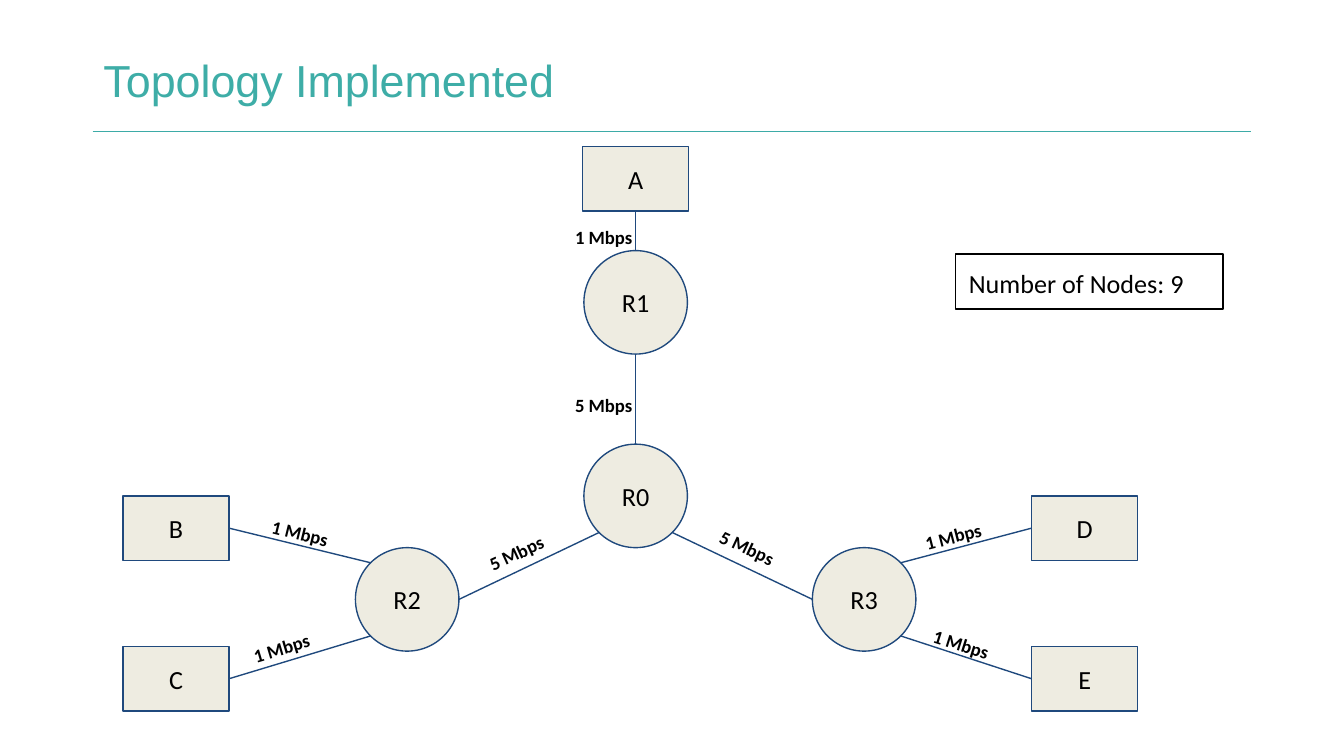
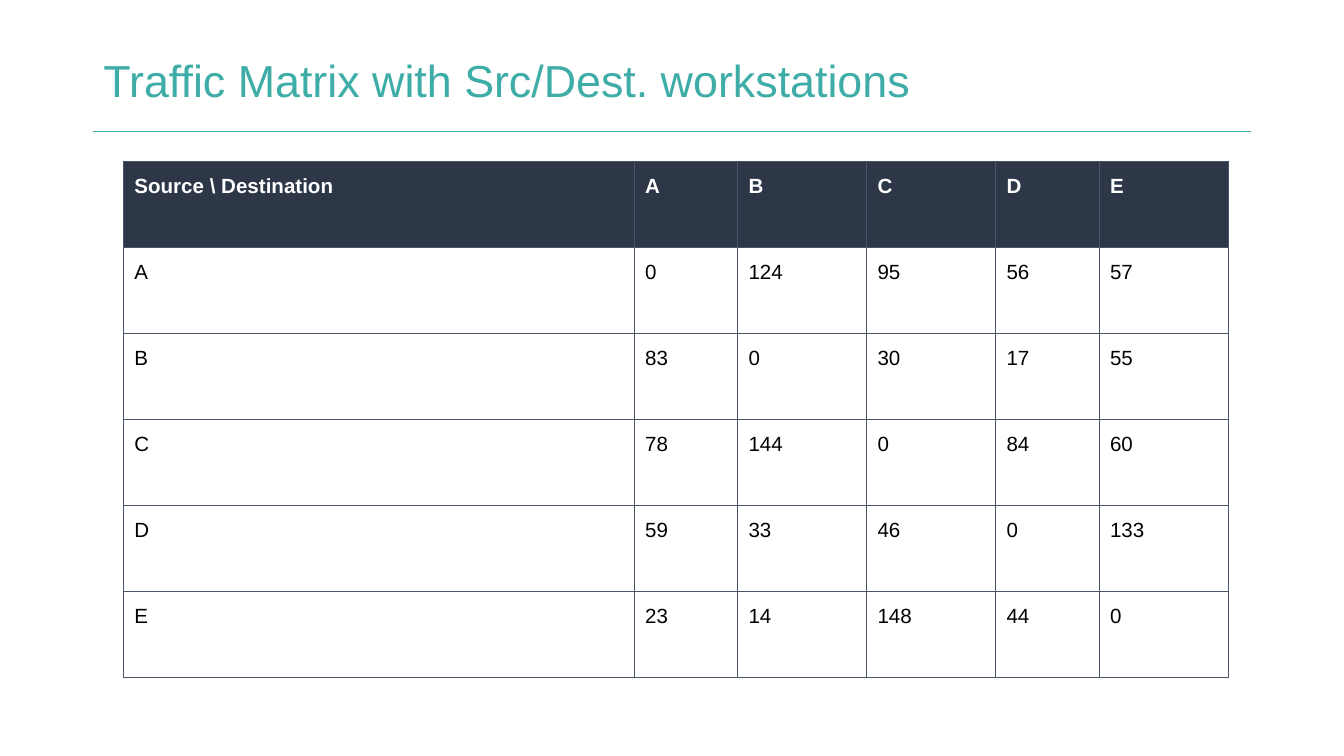
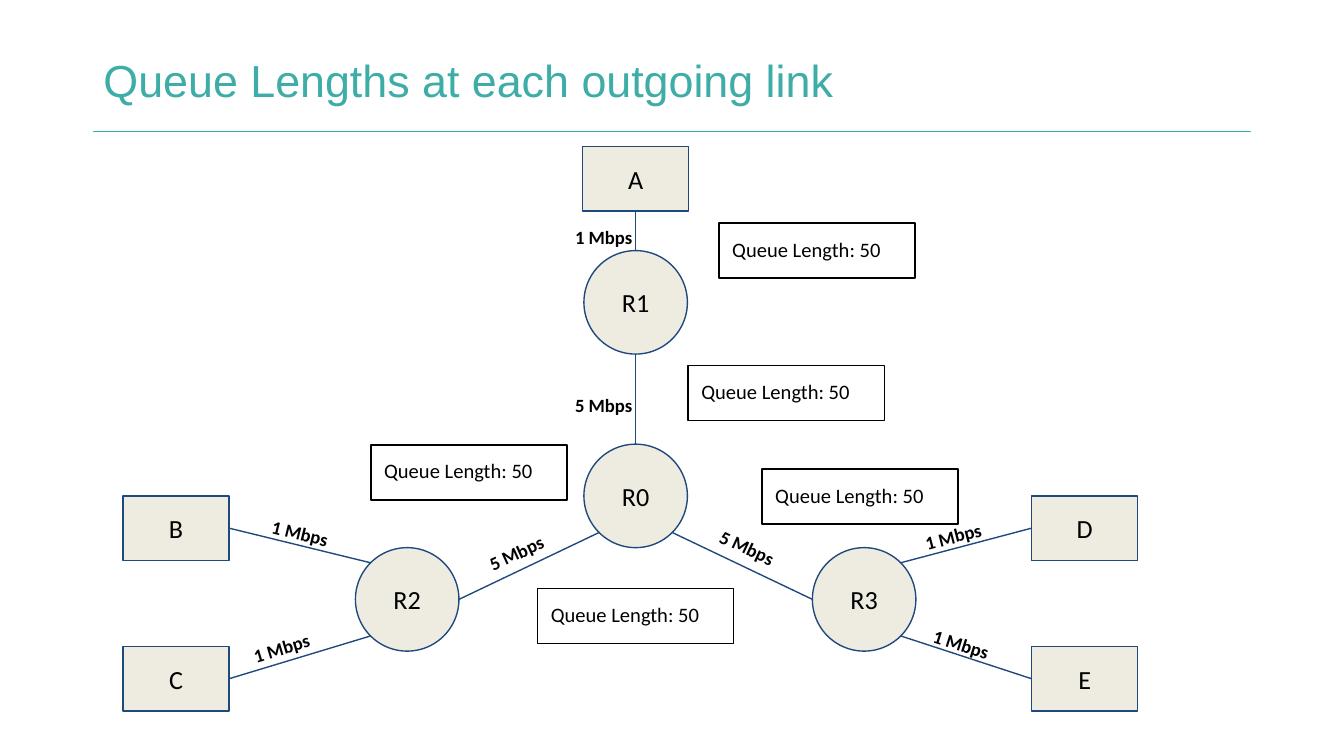
from lxml import etree
from pptx import Presentation
from pptx.dml.color import RGBColor
from pptx.enum.shapes import MSO_CONNECTOR, MSO_SHAPE
from pptx.enum.text import MSO_ANCHOR, PP_ALIGN
from pptx.oxml.ns import qn
from pptx.util import Inches, Pt

RECT, OVAL = MSO_SHAPE.RECTANGLE, MSO_SHAPE.OVAL
STRAIGHT = MSO_CONNECTOR.STRAIGHT
TOP, MIDDLE = MSO_ANCHOR.TOP, MSO_ANCHOR.MIDDLE
LEFT, CENTER = PP_ALIGN.LEFT, PP_ALIGN.CENTER

# Shared look
TEAL, RULE = "3EADA7", "3DABA7"
SAND, NAVY = "EEECE1", "1F497D"
DARK, SLATE = "2D3748", "4A5568"
BLACK, WHITE = "000000", "FFFFFF"
HEAD, BODY = "Arial", "Calibri"
THIN = 0.75

# Network: centres of workstations and routers
BOX_W, BOX_H, DIAM = 0.79, 0.48, 0.77
MID, ARM = 4.73, 1.7
BOXES = {"A": (MID, 1.33), "B": (1.31, 3.93), "C": (1.31, 5.05),
         "D": (8.07, 3.93), "E": (8.07, 5.05)}
HUBS = {"R0": (MID, 3.69), "R1": (MID, 2.25),
        "R2": (MID - ARM, 4.46), "R3": (MID + ARM, 4.46)}

# Directions from the centre of a circle to its rim
DIAG = 0.5 ** 0.5
RIM = {"N": (0, -1), "S": (0, 1), "W": (-1, 0), "E": (1, 0),
       "NW": (-DIAG, -DIAG), "NE": (DIAG, -DIAG),
       "SW": (-DIAG, DIAG), "SE": (DIAG, DIAG)}

# Workstation, side of its box (1 left, 2 bottom, 3 right), router, rim point
EDGES = [("A", 2, "R1", "N"), ("B", 3, "R2", "NW"), ("C", 3, "R2", "SW"),
         ("D", 1, "R3", "NE"), ("E", 1, "R3", "SE")]
TRUNKS = [("R0", "N", "R1", "S"), ("R2", "E", "R0", "SW"),
          ("R3", "W", "R0", "SE")]

# Speed, left, top, angle
SPEEDS = [("1 Mbps", 1.93, 3.81, 13.9), ("1 Mbps", 1.77, 4.64, -16.6),
          ("1 Mbps", 6.77, 3.81, -14.5), ("1 Mbps", 6.85, 4.64, 17.5),
          ("1 Mbps", 4.18, 1.6, 0), ("5 Mbps", 3.51, 3.93, -24.7),
          ("5 Mbps", 5.26, 3.93, 25), ("5 Mbps", 4.18, 2.85, 0)]
QUEUES = [(5.35, 1.66), (5.12, 2.72), (4, 4.38), (5.67, 3.49), (2.76, 3.31)]

# Traffic table
WIDTHS = [3.8, 0.77, 0.96, 0.96, 0.77, 0.96]
ROW_H = 0.64
TRAFFIC = [["Source \\ Destination", "A", "B", "C", "D", "E"],
           ["A", 0, 124, 95, 56, 57],
           ["B", 83, 0, 30, 17, 55],
           ["C", 78, 144, 0, 84, 60],
           ["D", 59, 33, 46, 0, 133],
           ["E", 23, 14, 148, 44, 0]]


def rgb(code):
    return RGBColor.from_string(code)


def add_run(para, text, size, font, color, bold):
    run = para.add_run()
    run.text = text
    run.font.size, run.font.name, run.font.bold = Pt(size), font, bold
    run.font.color.rgb = rgb(color)


def write(frame, text, size, font=BODY, color=BLACK, bold=False,
          align=LEFT, anchor=TOP, inset=(0.1, 0.1, 0.1, 0.1)):
    frame.word_wrap = True
    frame.vertical_anchor = anchor
    (frame.margin_left, frame.margin_top,
     frame.margin_right, frame.margin_bottom) = map(Inches, inset)
    para = frame.paragraphs[0]
    para.alignment = align
    add_run(para, text, size, font, color, bold)


def shape(slide, kind, x, y, w, h, line, fill=None):
    item = slide.shapes.add_shape(kind, *map(Inches, (x, y, w, h)))
    item.shadow.inherit = False
    if fill:
        item.fill.solid()
        item.fill.fore_color.rgb = rgb(fill)
    else:
        item.fill.background()
    item.line.color.rgb = rgb(line)
    item.line.width = Pt(THIN)
    return item


def link(slide, start, end, color=NAVY):
    wire = slide.shapes.add_connector(STRAIGHT, *map(Inches, start + end))
    wire.line.color.rgb = rgb(color)
    wire.line.width = Pt(THIN)
    etree.SubElement(wire._element.spPr, qn("a:effectLst"))
    return wire


def node(slide, kind, name, centre, w, h):
    x, y = centre
    item = shape(slide, kind, x - w / 2, y - h / 2, w, h, NAVY, SAND)
    write(item.text_frame, name, 14, align=CENTER, anchor=MIDDLE)
    return item


def note(slide, text, x, y, w, size):
    item = shape(slide, RECT, x, y, w, 0.41, BLACK)
    write(item.text_frame, text, size)


def label(slide, text, x, y, angle):
    box = slide.shapes.add_textbox(*map(Inches, (x, y, 0.72, 0.26)))
    box.rotation = angle
    write(box.text_frame, text, 10, bold=True)


def rim(hub, way):
    x, y = HUBS[hub]
    dx, dy = RIM[way]
    return x + dx * DIAM / 2, y + dy * DIAM / 2


def page(deck, title):
    slide = deck.slides.add_slide(deck.slide_layouts[6])
    link(slide, (0.69, 0.98), (9.31, 0.98), RULE)
    box = slide.shapes.add_textbox(*map(Inches, (0.75, 0.37, 6.87, 0.41)))
    write(box.text_frame, title, 24, HEAD, TEAL, inset=(0.02, 0.02, 0, 0))
    return slide


def network(slide):
    boxes = {name: node(slide, RECT, name, centre, BOX_W, BOX_H)
             for name, centre in BOXES.items()}
    for name, centre in HUBS.items():
        node(slide, OVAL, name, centre, DIAM, DIAM)
    for name, side, hub, way in EDGES:
        wire = link(slide, BOXES[name], rim(hub, way))
        wire.begin_connect(boxes[name], side)
    for hub, way, far, back in TRUNKS:
        link(slide, rim(hub, way), rim(far, back))
    for speed in SPEEDS:
        label(slide, *speed)


def border(cell):
    props = cell._tc.get_or_add_tcPr()
    for spot, tag in enumerate(("a:lnL", "a:lnR", "a:lnT", "a:lnB")):
        edge = etree.Element(qn(tag), w=str(Pt(THIN)))
        paint = etree.SubElement(edge, qn("a:solidFill"))
        etree.SubElement(paint, qn("a:srgbClr"), val=SLATE)
        props.insert(spot, edge)


def fill_cell(cell, text, top):
    if top:
        cell.fill.solid()
        cell.fill.fore_color.rgb = rgb(DARK)
    else:
        cell.fill.background()
    cell.margin_left = cell.margin_right = Inches(0.08)
    cell.margin_top = cell.margin_bottom = Inches(0.08)
    para = cell.text_frame.paragraphs[0]
    para.line_spacing, para.space_after = 1.15, Pt(11)
    add_run(para, text, 11, HEAD, WHITE if top else BLACK, top)
    border(cell)


def matrix(slide, x, y):
    frame = slide.shapes.add_table(
        len(TRAFFIC), len(WIDTHS), Inches(x), Inches(y),
        Inches(sum(WIDTHS)), Inches(ROW_H * len(TRAFFIC)))
    table = frame.table
    table.horz_banding = False
    for col, width in zip(table.columns, WIDTHS):
        col.width = Inches(width)
    for r, values in enumerate(TRAFFIC):
        table.rows[r].height = Inches(ROW_H)
        for c, value in enumerate(values):
            fill_cell(table.cell(r, c), str(value), r == 0)


def main():
    # Widescreen, 16 to 9
    deck = Presentation()
    deck.slide_width = Inches(10)
    deck.slide_height = Inches(10 * 9 / 16)

    # Topology
    slide = page(deck, "Topology Implemented")
    network(slide)
    note(slide, "Number of Nodes: 9", 7.11, 1.89, 1.99, 14)

    # Traffic
    slide = page(deck, "Traffic Matrix with Src/Dest. workstations")
    matrix(slide, 0.92, 1.2)

    # Queues
    slide = page(deck, "Queue Lengths at each outgoing link")
    network(slide)
    for x, y in QUEUES:
        note(slide, "Queue Length: 50", x, y, 1.46, 11)

    deck.save("out.pptx")


if __name__ == "__main__":
    main()
